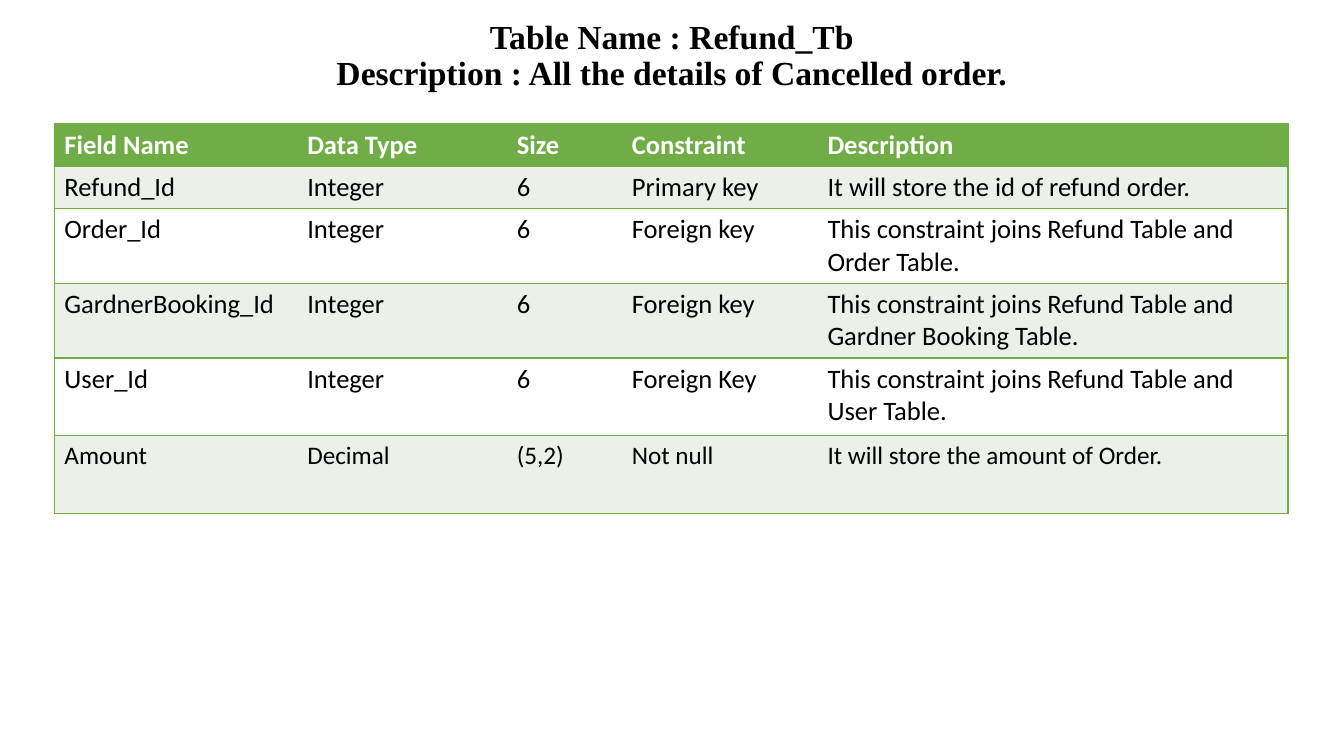
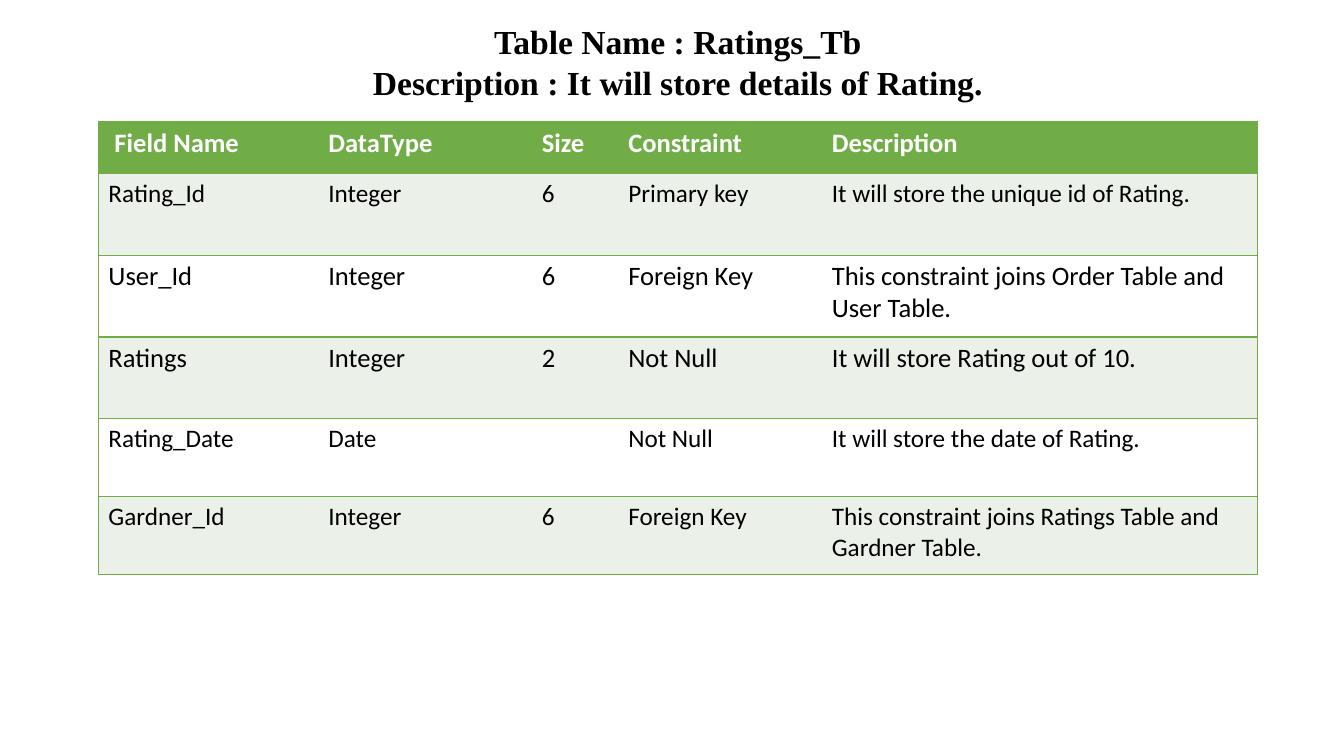
"""Build two slides that describe the fields of database tables."""

from dataclasses import dataclass

import lxml.etree
import pptx
import pptx.dml.color
import pptx.enum.text
import pptx.oxml.ns
import pptx.presentation
import pptx.slide
import pptx.table
import pptx.text.text
import pptx.util

Cm = pptx.util.Cm
Anchor = pptx.enum.text.MSO_ANCHOR
Align = pptx.enum.text.PP_ALIGN


@dataclass(frozen=True)
class Theme:
    title_font: str = "Times New Roman"
    table_font: str = "Calibri"
    title_size: int = 24
    large_size: int = 19
    small_size: int = 18
    black: str = "000000"
    white: str = "FFFFFF"
    green: str = "70AD47"
    pale_green: str = "EBF1E9"
    border_width: int = 1


THEME = Theme()


@dataclass(frozen=True)
class Box:
    left: float
    top: float
    width: float
    height: float


@dataclass(frozen=True)
class Row:
    height: float
    cells: tuple[str, ...]
    size: int = THEME.large_size


@dataclass(frozen=True)
class TableSlide:
    title: str
    title_box: Box
    title_anchor: Anchor
    title_spacing: float
    left: float
    top: float
    column_widths: tuple[float, ...]
    rows: tuple[Row, ...]


SLIDES = (
    TableSlide(
        title="Table Name : Refund_Tb\vDescription : All the details of Cancelled order.",
        title_box=Box(3.94, 0.1, 25.98, 2.36),
        title_anchor=Anchor.BOTTOM,
        title_spacing=0.9,
        left=1.37,
        top=3.12,
        column_widths=(6.12, 5.28, 2.9, 4.93, 11.86),
        rows=(
            Row(1.07, ("Field Name", "Data Type", "Size", "Constraint", "Description")),
            Row(1.07, ("Refund_Id", "Integer", "6", "Primary key",
                       "It will store the id of refund order.")),
            Row(1.88, ("Order_Id", "Integer", "6", "Foreign key",
                       "This constraint joins Refund Table and Order Table.")),
            Row(1.88, ("GardnerBooking_Id", "Integer", "6", "Foreign key",
                       "This constraint joins Refund Table and Gardner Booking Table.")),
            Row(1.96, ("User_Id", "Integer", "6", "Foreign Key",
                       "This constraint joins Refund Table and User Table.")),
            Row(1.96, ("Amount", "Decimal", "(5,2)", "Not null",
                       "It will store the amount of Order."), THEME.small_size),
        ),
    ),
    TableSlide(
        title="Table Name : Ratings_Tb\vDescription : It will store details of Rating.",
        title_box=Box(8.61, 0.41, 16.94, 2.31),
        title_anchor=Anchor.TOP,
        title_spacing=1.0,
        left=2.48,
        top=3.07,
        column_widths=(5.54, 5.38, 2.18, 5.13, 10.97),
        rows=(
            Row(1.3, (" Field Name", "DataType", "Size", "Constraint", "Description")),
            Row(2.06, ("Rating_Id", "Integer", "6", "Primary key",
                       "It will store the unique id of Rating."), THEME.small_size),
            Row(2.06, ("User_Id", "Integer", "6", "Foreign Key",
                       "This constraint joins Order Table and User Table.")),
            Row(2.06, ("Ratings", "Integer", "2", "Not Null",
                       "It will store Rating out of 10.")),
            Row(1.96, ("Rating_Date", "Date", "", "Not Null",
                       "It will store the date of Rating."), THEME.small_size),
            Row(1.96, ("Gardner_Id", "Integer", "6", "Foreign Key",
                       "This constraint joins Ratings Table and Gardner Table."),
                THEME.small_size),
        ),
    ),
)


def write_text(
    frame: pptx.text.text.TextFrame,
    text: str,
    *,
    font: str,
    size: int,
    color: str,
    bold: bool = False,
    align: Align = Align.LEFT,
    spacing: float = 1.0,
) -> None:
    """Fill a text frame with one formatted paragraph."""
    frame.text = text
    paragraph = frame.paragraphs[0]
    paragraph.alignment = align
    paragraph.line_spacing = spacing
    for run in paragraph.runs:
        run.font.name = font
        run.font.size = pptx.util.Pt(size)
        run.font.bold = bold
        run.font.color.rgb = pptx.dml.color.RGBColor.from_string(color)


def set_borders(cell: pptx.table._Cell, is_first: bool, is_last: bool) -> None:
    """Draw horizontal borders and the outer vertical ones."""
    qn = pptx.oxml.ns.qn
    properties = cell._tc.get_or_add_tcPr()
    sides = {"a:lnL": is_first, "a:lnR": is_last, "a:lnT": True, "a:lnB": True}
    for tag, visible in sides.items():
        line = lxml.etree.SubElement(properties, qn(tag))
        if visible:
            line.set("w", str(int(pptx.util.Pt(THEME.border_width))))
            fill = lxml.etree.SubElement(line, qn("a:solidFill"))
            lxml.etree.SubElement(fill, qn("a:srgbClr"), val=THEME.green)
        else:
            lxml.etree.SubElement(line, qn("a:noFill"))


def row_fill(row_index: int) -> str:
    """Return the green of the header or the colour of a body band."""
    if row_index == 0:
        return THEME.green
    return THEME.pale_green if row_index % 2 else THEME.white


def add_title(slide: pptx.slide.Slide, content: TableSlide) -> None:
    """Place and format the title placeholder."""
    title, box = slide.shapes.title, content.title_box
    title.left, title.top = Cm(box.left), Cm(box.top)
    title.width, title.height = Cm(box.width), Cm(box.height)
    frame = title.text_frame
    frame.word_wrap = True
    frame.auto_size = pptx.enum.text.MSO_AUTO_SIZE.NONE
    frame.vertical_anchor = content.title_anchor
    write_text(frame, content.title, font=THEME.title_font, size=THEME.title_size,
               color=THEME.black, bold=True, align=Align.CENTER,
               spacing=content.title_spacing)


def add_field_table(slide: pptx.slide.Slide, content: TableSlide) -> None:
    """Add the table of fields with its header and bands."""
    widths, rows = content.column_widths, content.rows
    table = slide.shapes.add_table(
        len(rows), len(widths), Cm(content.left), Cm(content.top),
        Cm(sum(widths)), Cm(sum(row.height for row in rows)),
    ).table
    table.horz_banding = False
    for column, width in zip(table.columns, widths):
        column.width = Cm(width)
    for row_index, row in enumerate(rows):
        table.rows[row_index].height = Cm(row.height)
        is_header = row_index == 0
        for column_index, text in enumerate(row.cells):
            cell = table.cell(row_index, column_index)
            set_borders(cell, column_index == 0, column_index == len(widths) - 1)
            cell.fill.solid()
            cell.fill.fore_color.rgb = pptx.dml.color.RGBColor.from_string(
                row_fill(row_index))
            write_text(cell.text_frame, text, font=THEME.table_font, size=row.size,
                       color=THEME.white if is_header else THEME.black,
                       bold=is_header)


def add_table_slide(
    presentation: pptx.presentation.Presentation, content: TableSlide
) -> None:
    """Add one slide with a title and a table of fields."""
    slide = presentation.slides.add_slide(presentation.slide_layouts[5])
    add_title(slide, content)
    add_field_table(slide, content)


def main() -> None:
    """Build and save the presentation."""
    presentation = pptx.Presentation()
    presentation.slide_width = Cm(33.87)
    presentation.slide_height = Cm(19.05)
    for content in SLIDES:
        add_table_slide(presentation, content)
    presentation.save("out.pptx")


if __name__ == "__main__":
    main()
